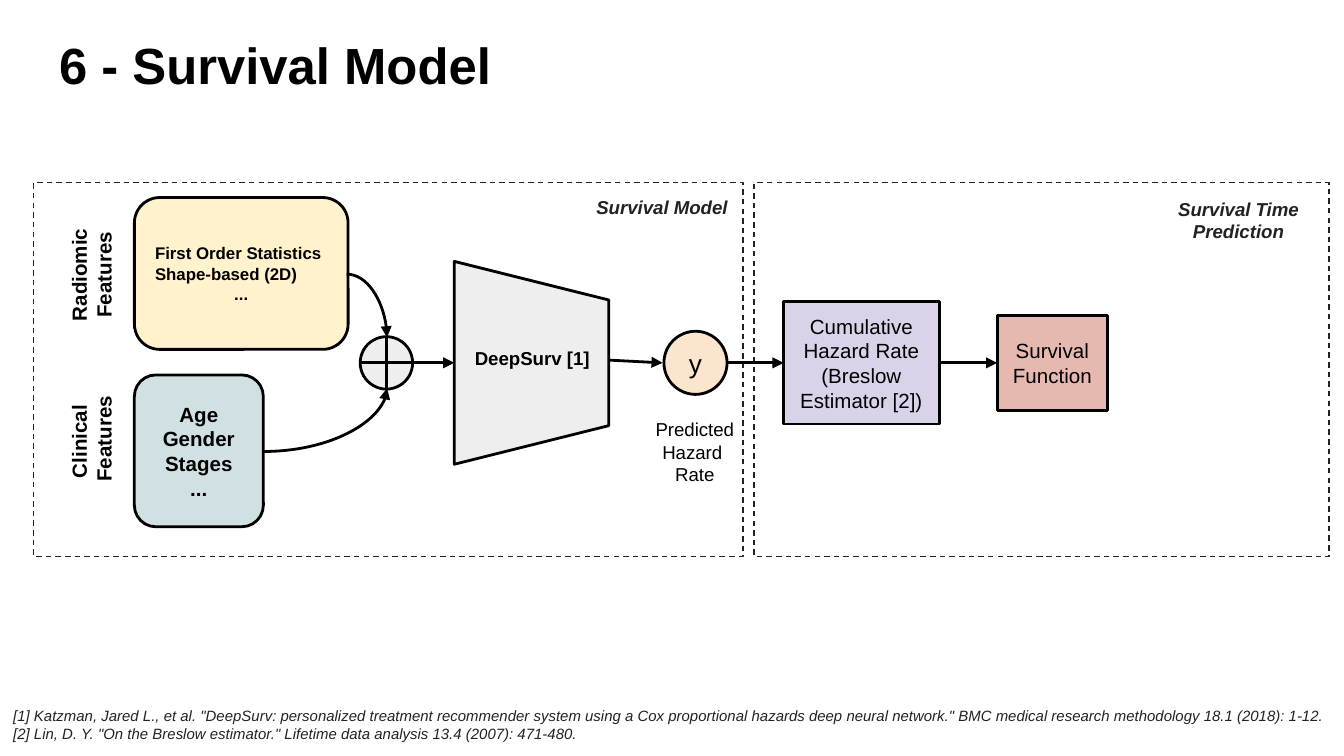
from lxml.etree import SubElement
from pptx import Presentation
from pptx.dml.color import RGBColor
from pptx.enum.dml import MSO_LINE
from pptx.enum.shapes import MSO_CONNECTOR, MSO_SHAPE
from pptx.enum.text import MSO_ANCHOR, MSO_AUTO_SIZE, PP_ALIGN
from pptx.oxml.ns import qn
from pptx.util import Inches, Pt

BLACK = RGBColor(0x00, 0x00, 0x00)
INK = RGBColor(0x22, 0x22, 0x22)
GREY = RGBColor(0xEE, 0xEE, 0xEE)
CREAM = RGBColor(0xFF, 0xF2, 0xCC)
TEAL = RGBColor(0xD0, 0xE0, 0xE3)
PEACH = RGBColor(0xFC, 0xE5, 0xCD)
LILAC = RGBColor(0xD9, 0xD2, 0xE9)
ROSE = RGBColor(0xE6, 0xB8, 0xAF)

COLS, ROWS = 100, 56.25
MID = 27
LEFT, CENTER = PP_ALIGN.LEFT, PP_ALIGN.CENTER
STRAIGHT, CURVE = MSO_CONNECTOR.STRAIGHT, MSO_CONNECTOR.CURVE

TITLE = "6 - Survival Model"
FRAMES = [(2.5, 52.8), (56.1, 42.8)]
FRAME_TOP, FRAME_TALL = 13.6, 27.8

# name: preset, left, width, height, fill, size, lines
FLOW = {
    "net": (MSO_SHAPE.TRAPEZOID, 32, 15.1, 11.5, GREY, 10, []),
    "rate": (MSO_SHAPE.OVAL, 49.4, 4.7, 4.7, PEACH, 14, ["y"]),
    "hazard": (MSO_SHAPE.RECTANGLE, 58.3, 11.6, 9.1, LILAC, 11,
               ["Cumulative Hazard Rate", "(Breslow Estimator [2])"]),
    "result": (MSO_SHAPE.RECTANGLE, 74.2, 8.2, 7.1, ROSE, 11,
               ["Survival", "Function"]),
}
INPUTS = [
    (14.7, 15.9, CREAM, 9, ["First Order Statistics", "Shape-based (2D)", "..."], LEFT),
    (27.9, 9.6, TEAL, 11, ["Age", "Gender", "Stages", "..."], CENTER),
]
INPUT_LEFT, INPUT_TALL = 10, 11.3
SUM_LEFT, SUM_SIZE = 26.8, 3.9

# box, size, bold, italic, colour, turn, lines
LABELS = [
    ((0, 17.6, 13.6, 5.7), 11, True, False, BLACK, -90, ["Radiomic Features"]),
    ((0, 30, 13.6, 5.7), 11, True, False, BLACK, -90, ["Clinical", " Features"]),
    ((33.8, 25, 11.6, 3.7), 10, True, False, BLACK, 0, ["DeepSurv [1]"]),
    ((45.9, 30.1, 11.6, 7), 10, False, False, BLACK, 0, ["Predicted", "Hazard ", "Rate"]),
    ((40.8, 13.7, 16.9, 3.7), 10, True, True, INK, 0, ["Survival Model"]),
    ((84.8, 13.7, 14.7, 5.3), 10, True, True, INK, 0, ["Survival Time Prediction"]),
]
SOURCES = [
    '[1] Katzman, Jared L., et al. "DeepSurv: personalized treatment recommender system using a Cox proportional hazards deep neural network." BMC medical research methodology 18.1 (2018): 1-12.',
    '[2] Lin, D. Y. "On the Breslow estimator." Lifetime data analysis 13.4 (2007): 471-480.',
]
ARROWS = [
    (30.7, MID, 33.8, MID, STRAIGHT),
    (45.4, 26.8, 49.3, MID, STRAIGHT),
    (54.1, MID, 58.3, MID, STRAIGHT),
    (70, MID, 74.2, MID, STRAIGHT),
    (25.8, 20.4, 28.8, 25.1, CURVE),
    (19.6, 33.6, 28.8, 28.9, CURVE),
]

deck = Presentation()
deck.slide_width = Inches(10)
deck.slide_height = deck.slide_width * 9 // 16
slide = deck.slides.add_slide(deck.slide_layouts[5])


def grid(*cells):
    """Turn grid cells into slide lengths."""
    return [round(deck.slide_width * cell / COLS) for cell in cells]


def write(shape, lines, size, bold=False, italic=False, color=BLACK,
          align=CENTER, anchor=MSO_ANCHOR.TOP, fit=MSO_AUTO_SIZE.NONE):
    """Fill a shape with styled lines."""
    frame = shape.text_frame
    frame.text = "\n".join(lines)
    frame.word_wrap, frame.auto_size = True, fit
    frame.vertical_anchor = anchor
    frame.margin_left = frame.margin_right = Inches(0.1)
    frame.margin_top = frame.margin_bottom = Inches(0.1)
    for par in frame.paragraphs:
        par.alignment = align
        for run in par.runs:
            font = run.font
            font.name, font.size = "Arial", Pt(size)
            font.bold, font.italic = bold, italic
            font.color.rgb = color


def draw(home, preset, box, fill=None, color=BLACK, width=1.5):
    """Add an outlined shape."""
    shape = home.add_shape(preset, *grid(*box))
    shape.shadow.inherit = False
    if fill is None:
        shape.fill.background()
    else:
        shape.fill.solid()
        shape.fill.fore_color.rgb = fill
    shape.line.color.rgb, shape.line.width = color, Pt(width)
    return shape


def link(home, ends, kind=STRAIGHT, head=True):
    """Add a line, with an arrowhead if asked."""
    line = home.add_connector(kind, *grid(*ends))
    line.line.color.rgb, line.line.width = BLACK, Pt(1.5)
    props = line._element.spPr
    if head:
        SubElement(props.find(qn("a:ln")), qn("a:tailEnd"), type="triangle")
    if kind == CURVE:
        props.find(qn("a:prstGeom")).set("prst", "curvedConnector2")
    SubElement(props, qn("a:effectLst"))


def label(box, lines, size, turn=0, **style):
    """Add a text box that fits its text."""
    text = slide.shapes.add_textbox(*grid(*box))
    text.rotation = turn
    write(text, lines, size, fit=MSO_AUTO_SIZE.SHAPE_TO_FIT_TEXT, **style)


title = slide.shapes.title
title.left, title.top, title.width, title.height = grid(3.4, 1.5, 93.2, 6.3)
write(title, [TITLE], 27.2, bold=True, align=LEFT)

for left, wide in FRAMES:
    frame = draw(slide.shapes, MSO_SHAPE.RECTANGLE,
                 (left, FRAME_TOP, wide, FRAME_TALL), None, INK, 0.75)
    frame.line.dash_style = MSO_LINE.DASH

label((0, ROWS - 4.7, COLS, 4.7), SOURCES, 8, italic=True, color=INK, align=LEFT)

for top, wide, fill, size, lines, align in INPUTS:
    card = draw(slide.shapes, MSO_SHAPE.ROUNDED_RECTANGLE,
                (INPUT_LEFT, top, wide, INPUT_TALL), fill)
    write(card, lines, size, bold=True, align=align, anchor=MSO_ANCHOR.MIDDLE)
    card.text_frame.paragraphs[-1].alignment = CENTER

plus = slide.shapes.add_group_shape().shapes
half = SUM_SIZE / 2
core = SUM_LEFT + half
draw(plus, MSO_SHAPE.OVAL, (SUM_LEFT, MID - half, SUM_SIZE, SUM_SIZE), GREY)
link(plus, (core, MID - half, core, MID + half), head=False)
link(plus, (core - half, MID, core + half, MID), head=False)

for name, (preset, left, wide, tall, fill, size, lines) in FLOW.items():
    node = draw(slide.shapes, preset, (left, MID - tall / 2, wide, tall), fill)
    if name == "net":
        node.rotation = 90
    if lines:
        write(node, lines, size, anchor=MSO_ANCHOR.MIDDLE)

for *ends, kind in ARROWS:
    link(slide.shapes, ends, kind)

for box, size, bold, italic, color, turn, lines in LABELS:
    label(box, lines, size, turn, bold=bold, italic=italic, color=color)

deck.save("out.pptx")
